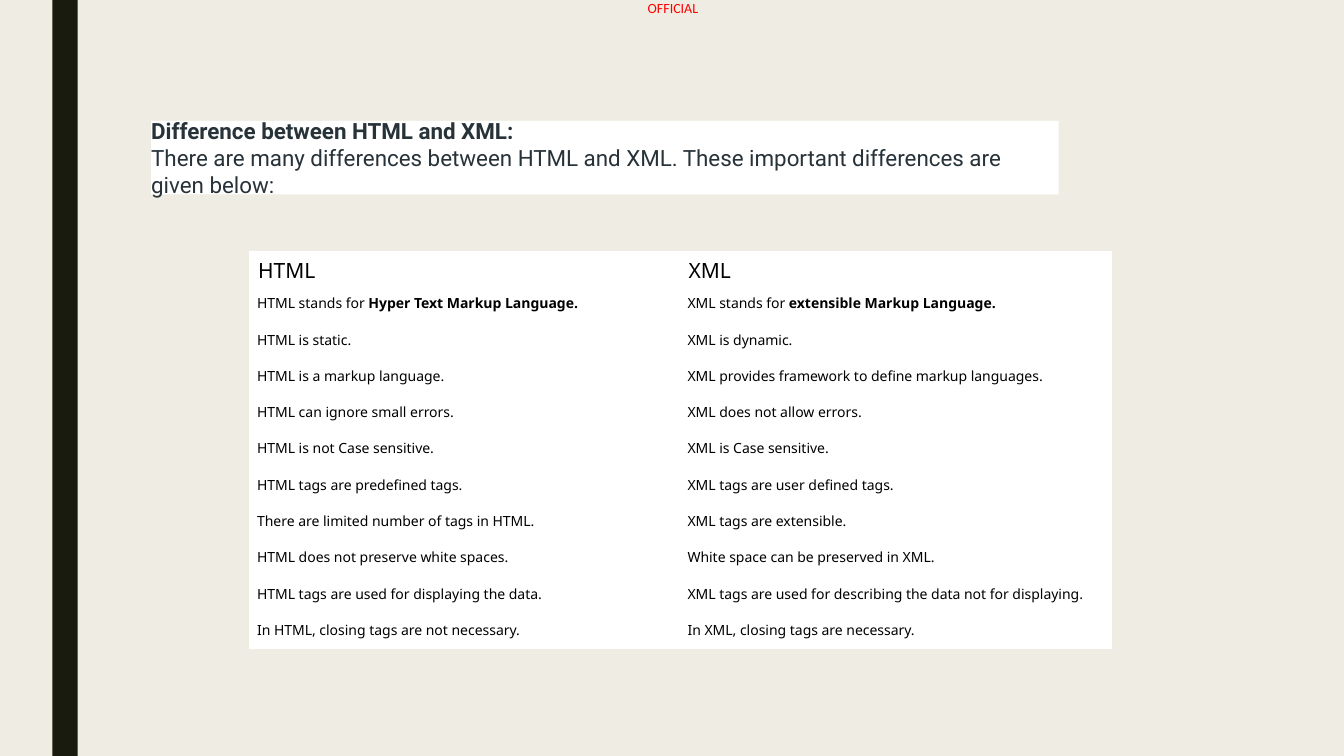
from pptx import Presentation
from pptx.dml.color import RGBColor
from pptx.enum.shapes import MSO_SHAPE
from pptx.enum.text import MSO_ANCHOR, PP_ALIGN
from pptx.util import Inches, Pt

ROWS = [
    ("HTML stands for |Hyper Text Markup Language.",
     "XML stands for |extensible Markup Language."),
    ("HTML is static.", "XML is dynamic."),
    ("HTML is a markup language.",
     "XML provides framework to define markup languages."),
    ("HTML can ignore small errors.", "XML does not allow errors."),
    ("HTML is not Case sensitive.", "XML is Case sensitive."),
    ("HTML tags are predefined tags.", "XML tags are user defined tags."),
    ("There are limited number of tags in HTML.", "XML tags are extensible."),
    ("HTML does not preserve white spaces.",
     "White space can be preserved in XML."),
    ("HTML tags are used for displaying the data.",
     "XML tags are used for describing the data not for displaying."),
    ("In HTML, closing tags are not necessary.",
     "In XML, closing tags are necessary."),
]


def paint(fill, color):
    """Make a fill solid in a hex colour."""
    fill.solid()
    fill.fore_color.rgb = RGBColor.from_string(color)


def write(para, text, size=10, font="Noto Sans", color="000000", bold=False,
          align=PP_ALIGN.LEFT):
    """Add a run of text to a paragraph in the given format."""
    para.alignment = align
    run = para.add_run()
    run.text = text
    run.font.size = Pt(size)
    run.font.name = font
    run.font.bold = bold
    run.font.color.rgb = RGBColor.from_string(color)


def inset(frame, side=0, top=0, bottom=0):
    """Set the margins of a text frame or cell, in inches."""
    frame.margin_left = frame.margin_right = Inches(side)
    frame.margin_top, frame.margin_bottom = Inches(top), Inches(bottom)


def add_block(slide, left, top, width, height, color):
    """Draw a plain filled rectangle and return it."""
    block = slide.shapes.add_shape(
        MSO_SHAPE.RECTANGLE, Inches(left), Inches(top),
        Inches(width), Inches(height))
    block.shadow.inherit = False
    block.line.fill.background()
    paint(block.fill, color)
    return block


def add_label(slide, left, top, width, height):
    """Place the marking at the top of the slide."""
    label = slide.shapes.add_textbox(
        Inches(left), Inches(top), Inches(width), Inches(height))
    frame = label.text_frame
    frame.word_wrap = False
    inset(frame)
    write(frame.paragraphs[0], "OFFICIAL", font="Calibri", color="FF0000",
          align=PP_ALIGN.CENTER)


def add_title(slide, left, top, width, height):
    """Place the white title panel with its heading and lead."""
    frame = add_block(slide, left, top, width, height, "FFFFFF").text_frame
    frame.word_wrap = True
    frame.vertical_anchor = MSO_ANCHOR.MIDDLE
    inset(frame)
    para = frame.paragraphs[0]
    style = dict(size=16, font="Roboto", color="273239")
    write(para, "Difference between HTML and XML:", bold=True, **style)
    para.add_line_break()
    write(para, "There are many differences between HTML and XML. "
          "These important differences are given below:", **style)


def add_grid(slide, left, top, width, head=0.33, step=0.36):
    """Place the table that compares HTML with XML."""
    lines = [("HTML", "XML")] + ROWS
    table = slide.shapes.add_table(
        len(lines), 2, Inches(left), Inches(top), Inches(width),
        Inches(head + step * len(ROWS))).table
    table.horz_banding = False
    for i, line in enumerate(lines):
        table.rows[i].height = Inches(step if i else head)
        for j, text in enumerate(line):
            cell = table.cell(i, j)
            paint(cell.fill, "FFFFFF")
            cell.vertical_anchor = MSO_ANCHOR.MIDDLE
            if i:
                inset(cell, 0.07, 0.08, 0.08)
            else:
                inset(cell, 0.08, 0.04)
            for k, part in enumerate(text.split("|")):
                write(cell.text_frame.paragraphs[0], part,
                      size=10 if i else 15, bold=k > 0)


def main():
    """Build the slide and save it."""
    deck = Presentation()
    deck.slide_width, deck.slide_height = Inches(13.33), Inches(7.5)
    slide = deck.slides.add_slide(deck.slide_layouts[6])
    paint(slide.background.fill, "EFEDE3")
    add_block(slide, 0.52, 0, 0.25, 7.5, "191B0E")
    add_label(slide, 6.41, 0, 0.53, 0.17)
    add_grid(slide, 2.48, 2.5, 8.54)
    add_title(slide, 1.5, 1.2, 9, 0.73)
    deck.save("out.pptx")


if __name__ == "__main__":
    main()
